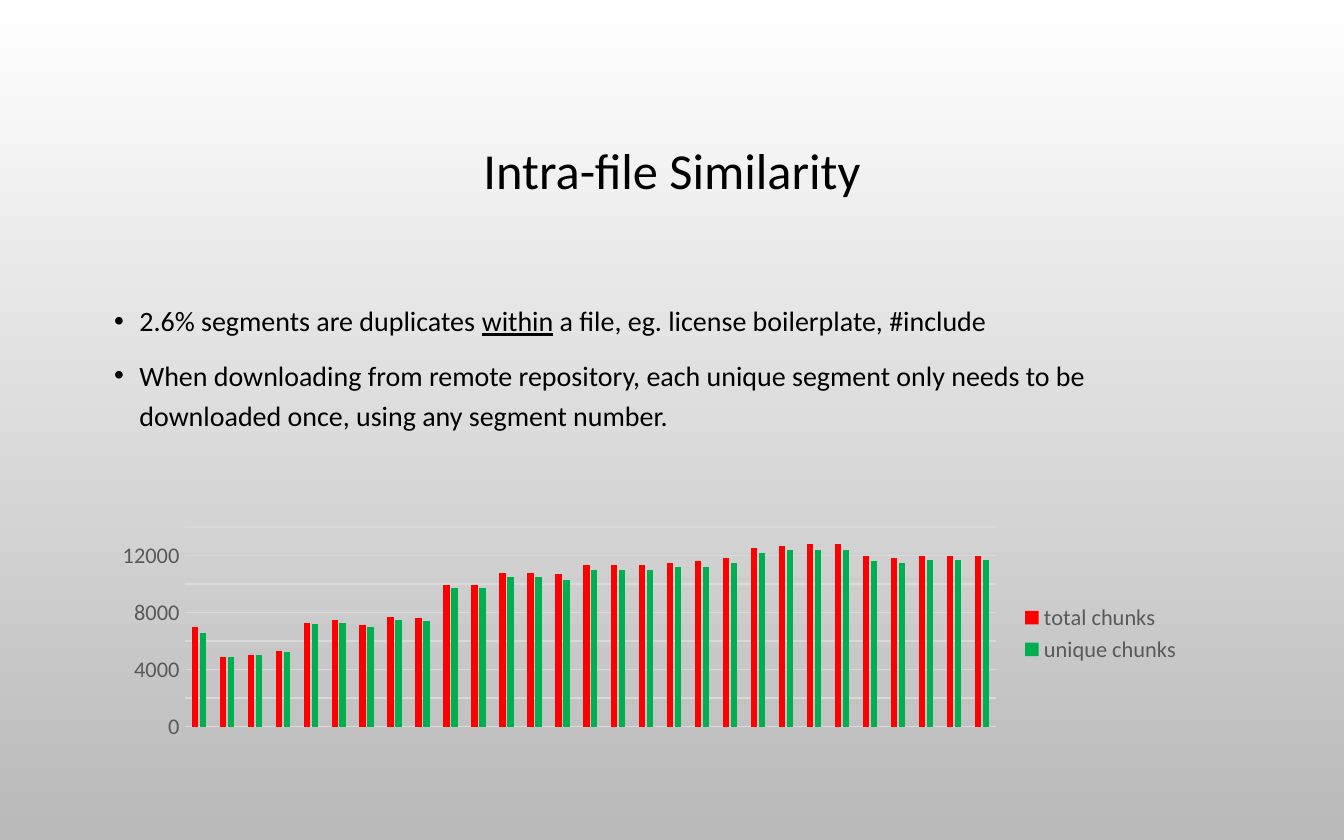
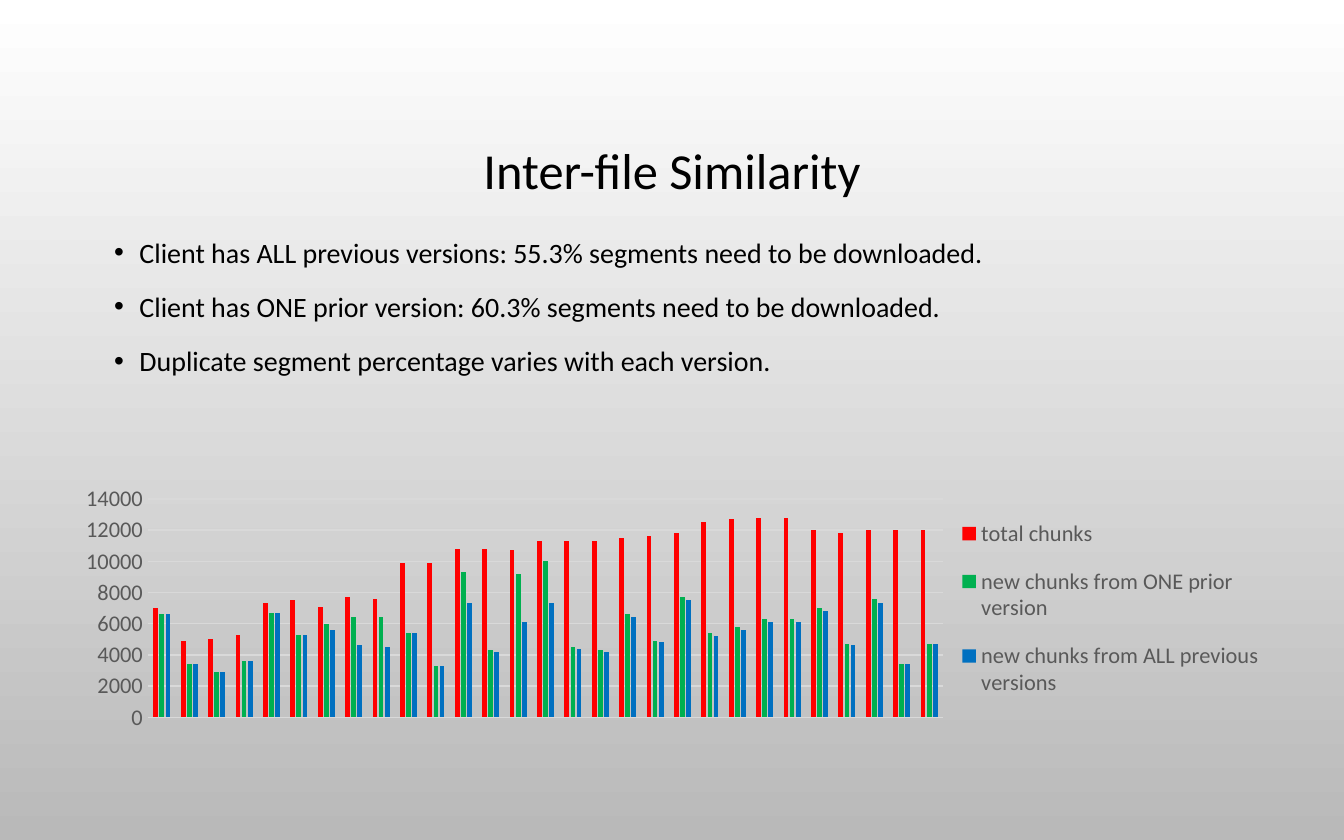
from lxml.etree import SubElement, Element
from pptx import Presentation
from pptx.chart.data import CategoryChartData
from pptx.dml.color import RGBColor
from pptx.enum.chart import XL_CHART_TYPE as ChartType
from pptx.enum.chart import XL_LEGEND_POSITION as LegendPosition
from pptx.enum.chart import XL_TICK_LABEL_POSITION as LabelPosition
from pptx.enum.chart import XL_TICK_MARK as TickMark
from pptx.enum.text import MSO_ANCHOR as Anchor
from pptx.enum.text import MSO_AUTO_SIZE as AutoSize
from pptx.enum.text import PP_ALIGN as Align
from pptx.oxml.ns import qn
from pptx.util import Pt

FONT = "Calibri"
BLACK, GRAY, RULE = "000000", "595959", "D9D9D9"
RED, GREEN, BLUE = "FF0000", "00B050", "0070C0"
BACKGROUND = ("FFFFFF", "B9B9B9")

# Boxes are left, top, width, height in points
TITLE_BOX = (54, 40.5, 612, 104.4)
TITLE_FORMAT = {"alignment": Align.CENTER, "line_spacing": 0.9}
LIST_FORMAT = {"line_spacing": 1.2, "space_before": Pt(7.5), "space_after": Pt(0)}

# Chunks per version, in hundreds
TOTAL = [70, 49, 50, 53, 73, 75, 71, 77, 76, 99, 99, 108, 108, 107, 113,
         113, 113, 115, 116, 118, 125, 127, 128, 128, 120, 118, 120, 120, 120]
UNIQUE = [66, 49, 50, 52, 72, 73, 70, 75, 74, 97, 97, 105, 105, 103, 110,
          110, 110, 112, 112, 115, 122, 124, 124, 124, 116, 115, 117, 117, 117]
NEW_FROM_ONE = [66, 34, 29, 36, 67, 53, 60, 64, 64, 54, 33, 93, 43, 92, 100,
                45, 43, 66, 49, 77, 54, 58, 63, 63, 70, 47, 76, 34, 47]
NEW_FROM_ALL = [66, 34, 29, 36, 67, 53, 56, 46, 45, 54, 33, 73, 42, 61, 73,
                44, 42, 64, 48, 75, 52, 56, 61, 61, 68, 46, 73, 34, 47]


def color(code):
    return RGBColor.from_string(code)


def apply(target, values):
    for name, value in values.items():
        setattr(target, name, value)


def style_font(font, size, code):
    apply(font, {"name": FONT, "size": Pt(size)})
    font.color.rgb = color(code)


def style_line(line, code):
    line.width = Pt(0.75)
    line.color.rgb = color(code)


def place(shape, box):
    names = ("left", "top", "width", "height")
    apply(shape, dict(zip(names, map(Pt, box))))


def paint_background(master):
    fill = master.background.fill
    fill.gradient()
    fill.gradient_angle = 270
    for stop, code in zip(fill.gradient_stops, BACKGROUND):
        stop.color.rgb = color(code)


def add_span(para, text, size, underline=None):
    span = para.add_run()
    span.text = text
    style_font(span.font, size, BLACK)
    span.font.underline = underline


def add_bullet(para):
    properties = para._p.get_or_add_pPr()
    indents = {"marL": Pt(13.5), "indent": Pt(-13.5)}
    for name, value in indents.items():
        properties.set(name, str(int(value)))
    bullet_color = SubElement(properties, qn("a:buClr"))
    SubElement(bullet_color, qn("a:srgbClr"), val=BLACK)
    SubElement(properties, qn("a:buFont"), typeface="Arial")
    SubElement(properties, qn("a:buChar"), char="•")


def fill_title(title, text):
    place(title, TITLE_BOX)
    frame = title.text_frame
    apply(frame, {"vertical_anchor": Anchor.MIDDLE, "auto_size": AutoSize.NONE})
    para = frame.paragraphs[0]
    apply(para, TITLE_FORMAT)
    add_span(para, text, 27)


def fill_list(body, box, items):
    """Each item is a list of spans; every second span is underlined."""
    place(body, box)
    frame = body.text_frame
    apply(frame, {"vertical_anchor": Anchor.TOP, "auto_size": AutoSize.NONE})
    for index, spans in enumerate(items):
        para = frame.add_paragraph() if index else frame.paragraphs[0]
        apply(para, LIST_FORMAT)
        add_bullet(para)
        for order, text in enumerate(spans):
            add_span(para, text, 15, True if order % 2 else None)


def set_layout(parent, index, area, inner=False):
    """Fix a chart part's area, given as fractions of the chart."""
    for old in parent.findall(qn("c:layout")):
        parent.remove(old)
    layout = Element(qn("c:layout"))
    parent.insert(index, layout)
    manual = SubElement(layout, qn("c:manualLayout"))
    target = [("layoutTarget", "inner")] if inner else []
    modes = [("xMode", "edge"), ("yMode", "edge")]
    for name, value in target + modes + list(zip("xywh", area)):
        SubElement(manual, qn("c:" + name), val=str(value))


def add_chunk_chart(page, box, series_list, plot_area=None, legend_area=None):
    data = CategoryChartData()
    data.categories = [str(number + 1) for number in range(len(TOTAL))]
    for name, hundreds, _ in series_list:
        data.add_series(name, [value * 100 for value in hundreds])
    chart = page.shapes.add_chart(
        ChartType.COLUMN_CLUSTERED, *map(Pt, box), data).chart
    chart.has_title = False
    style_font(chart.font, 10, BLACK)

    # Columns
    plot = chart.plots[0]
    apply(plot, {"gap_width": 219, "overlap": -27, "vary_by_categories": False})
    for series, (_, _, code) in zip(plot.series, series_list):
        series.format.fill.solid()
        series.format.fill.fore_color.rgb = color(code)

    # Axes
    categories, values = chart.category_axis, chart.value_axis
    for axis in (categories, values):
        apply(axis, {"major_tick_mark": TickMark.NONE,
                     "minor_tick_mark": TickMark.NONE})
        style_font(axis.tick_labels.font, 12, GRAY)
    categories.tick_label_position = LabelPosition.NONE
    style_line(categories.format.line, RULE)
    values.format.line.fill.background()
    values.has_major_gridlines = True
    style_line(values.major_gridlines.format.line, RULE)

    # Legend
    chart.has_legend = True
    apply(chart.legend, {"position": LegendPosition.RIGHT,
                         "include_in_layout": False})
    style_font(chart.legend.font, 12, GRAY)

    # Fixed areas
    if plot_area:
        set_layout(chart._chartSpace.chart.plotArea, 0, plot_area, inner=True)
    if legend_area:
        set_layout(chart.legend._element, 1, legend_area)


def add_similarity_page(deck, title, items, list_box, chart_box, series_list,
                        **areas):
    page = deck.slides.add_slide(deck.slide_layouts[1])
    fill_title(page.shapes.title, title)
    fill_list(page.placeholders[1], list_box, items)
    add_chunk_chart(page, chart_box, series_list, **areas)


def main():
    deck = Presentation()
    apply(deck, {"slide_width": Pt(720), "slide_height": Pt(450)})
    paint_background(deck.slide_master)
    total = ("total chunks", TOTAL, RED)

    add_similarity_page(
        deck, "Intra-file Similarity",
        [["2.6% segments are duplicates ", "within",
          " a file, eg. license boilerplate, #include"],
         ["When downloading from remote repository, each unique segment only "
          "needs to be downloaded once, using any segment number."]],
        (54, 155.5, 612, 115.2), (54, 280, 586, 118.8),
        [total, ("unique chunks", UNIQUE, GREEN)])

    add_similarity_page(
        deck, "Inter-file Similarity",
        [["Client has ALL previous versions: 55.3% segments need to be downloaded."],
         ["Client has ONE prior version: 60.3% segments need to be downloaded."],
         ["Duplicate segment percentage varies with each version."]],
        (54, 118.8, 612, 115.2), (19.5, 252.7, 665.3, 146.2),
        [total,
         ("new chunks from ONE prior version", NEW_FROM_ONE, GREEN),
         ("new chunks from ALL previous versions", NEW_FROM_ALL, BLUE)],
        plot_area=(0.09, 0.1, 0.64, 0.8),
        legend_area=(0.74, 0.1, 0.25, 0.8))

    deck.save("out.pptx")


if __name__ == "__main__":
    main()
